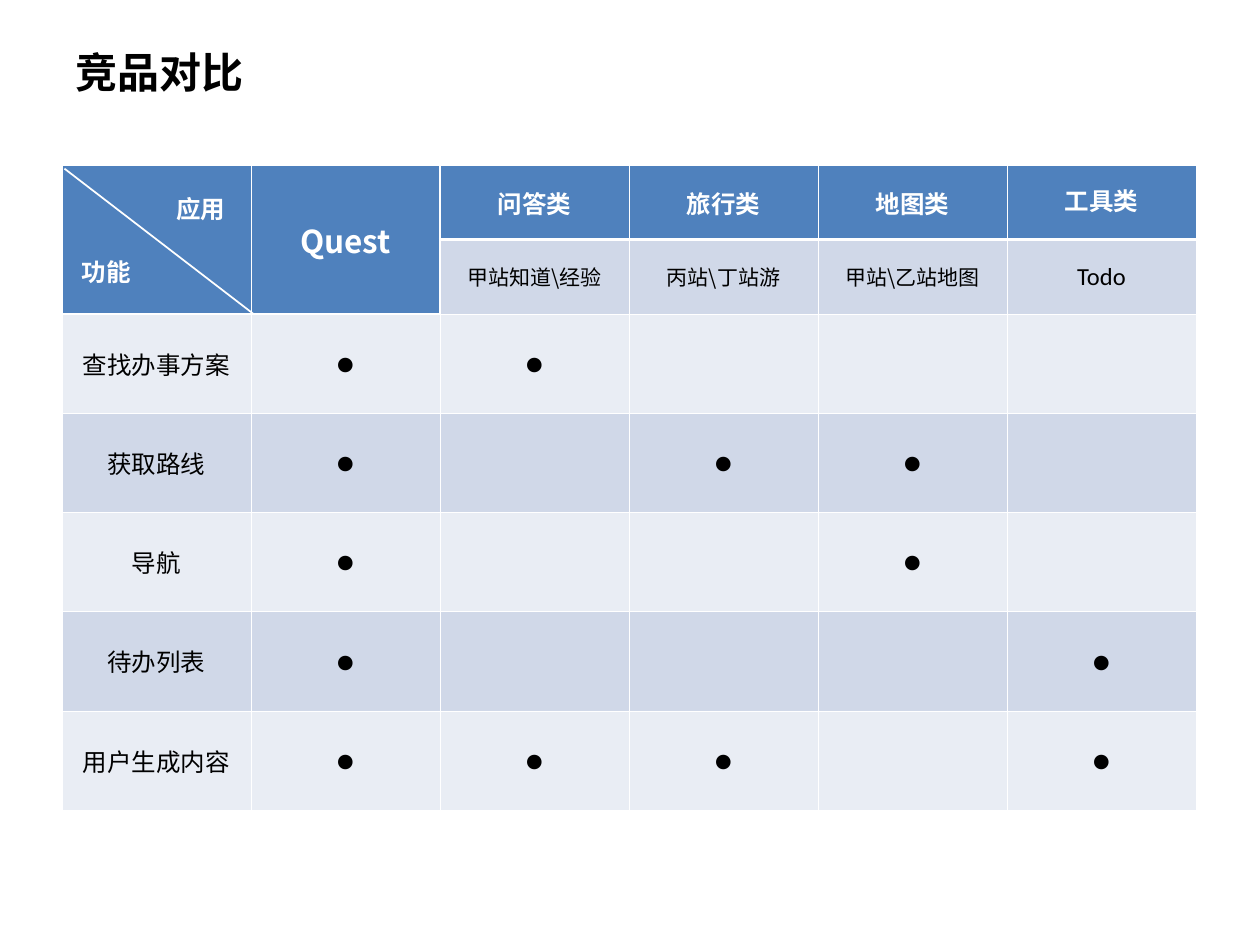
from lxml.etree import SubElement
from pptx import Presentation
from pptx.dml.color import RGBColor
from pptx.enum.shapes import MSO_CONNECTOR
from pptx.enum.text import MSO_ANCHOR, MSO_AUTO_SIZE, PP_ALIGN
from pptx.oxml.ns import qn
from pptx.util import Cm, Pt

TITLE = "竞品对比"
CORNER_LABELS = [("应用", 3.3, 3.78), ("功能", 1.4, 5.05)]
PRODUCT = "Quest"
CATEGORIES = [
    ("问答类", "甲站知道\\经验"),
    ("旅行类", "丙站\\丁站游"),
    ("地图类", "甲站\\乙站地图"),
    ("工具类", "Todo"),
]
FEATURES = [
    ("查找办事方案", (1, 2)),
    ("获取路线", (1, 3, 4)),
    ("导航", (1, 4)),
    ("待办列表", (1, 5)),
    ("用户生成内容", (1, 2, 3, 5)),
]
COLORS = {"header": "4F81BD", "dark": "D0D8E8", "light": "E9EDF4",
          "white": "FFFFFF", "black": "000000"}
HAN, LATIN = "Noto Sans CJK SC", "Calibri"
LEFT, TOP, COLUMN = 1.25, 3.33, 3.81
ROWS = [1.5] * 2 + [2] * len(FEATURES)
THIN, THICK = 0.45, 1.47


def write(frame, text, size=14, font=HAN, color="black", bold=False, align=PP_ALIGN.CENTER):
    """Put one formatted run of text into a text frame."""
    para = frame.paragraphs[0]
    para.alignment = align
    span = para.add_run()
    span.text = text
    span.font.size = Pt(size)
    span.font.bold = bold
    span.font.color.rgb = RGBColor.from_string(COLORS[color])
    span.font.name = font
    SubElement(span.font._element, qn("a:ea"), typeface=font)


def set_borders(cell, row, column):
    """Draw white cell edges, thicker around the header block."""
    thick = {
        "L": column == 2 and row < 2,
        "R": column == 1 and row < 2,
        "T": row == (2 if column < 2 else 1),
        "B": row == 0 or (row == 1 and column < 2),
    }
    properties = cell._tc.get_or_add_tcPr()
    for side, heavy in thick.items():
        width = Pt(THICK if heavy else THIN)
        edge = SubElement(properties, qn(f"a:ln{side}"), w=str(width))
        fill = SubElement(edge, qn("a:solidFill"))
        SubElement(fill, qn("a:srgbClr"), val=COLORS["white"])


def cell_color(row, column):
    """Return the colour name of a cell by its place in the grid."""
    if row == 0 or (row == 1 and column < 2):
        return "header"
    return "dark" if row % 2 else "light"


def add_title(page):
    """Move and format the title placeholder."""
    title = page.shapes.title
    title.left, title.top, title.width, title.height = Cm(1.27), Cm(0.76), Cm(22.86), Cm(1.37)
    frame = title.text_frame
    frame.vertical_anchor = MSO_ANCHOR.MIDDLE
    frame.auto_size = MSO_AUTO_SIZE.NONE
    write(frame, TITLE, size=24, bold=True, align=PP_ALIGN.LEFT)


def add_comparison(page):
    """Build the feature table with its two header rows."""
    count = len(CATEGORIES) + 2
    table = page.shapes.add_table(len(ROWS), count, Cm(LEFT), Cm(TOP),
                                  Cm(COLUMN * count), Cm(sum(ROWS))).table
    table.first_row = table.horz_banding = False
    for column in table.columns:
        column.width = Cm(COLUMN)
    for row, height in enumerate(ROWS):
        table.rows[row].height = Cm(height)
        for column in range(count):
            cell = table.cell(row, column)
            set_borders(cell, row, column)
            cell.fill.solid()
            cell.fill.fore_color.rgb = RGBColor.from_string(COLORS[cell_color(row, column)])
            cell.vertical_anchor = MSO_ANCHOR.MIDDLE
    for column in range(2):
        table.cell(0, column).merge(table.cell(1, column))

    write(table.cell(0, 1).text_frame, PRODUCT, size=18, color="white", bold=True)
    for column, (category, apps) in enumerate(CATEGORIES, 2):
        is_latin = apps.isascii()
        write(table.cell(0, column).text_frame, category, color="white", bold=True,
              font=LATIN if is_latin else HAN)
        write(table.cell(1, column).text_frame, apps, size=14 if is_latin else 12,
              font=LATIN if is_latin else HAN)
    for row, (feature, marks) in enumerate(FEATURES, 2):
        write(table.cell(row, 0).text_frame, feature)
        for column in marks:
            write(table.cell(row, column).text_frame, "●", size=18, font=LATIN)


def add_corner(page):
    """Split the corner cell with a diagonal and label both halves."""
    diagonal = page.shapes.add_connector(MSO_CONNECTOR.STRAIGHT, Cm(1.3), Cm(3.4),
                                         Cm(5.1), Cm(6.32))
    diagonal.line.color.rgb = RGBColor.from_string(COLORS["white"])
    diagonal.line.width = Pt(1)
    SubElement(diagonal._element.spPr, qn("a:effectLst"))
    for text, left, top in CORNER_LABELS:
        box = page.shapes.add_textbox(Cm(left), Cm(top), Cm(1.8), Cm(0.86))
        box.text_frame.word_wrap = True
        box.text_frame.auto_size = MSO_AUTO_SIZE.SHAPE_TO_FIT_TEXT
        write(box.text_frame, text, color="white", bold=True, align=PP_ALIGN.LEFT)


def main():
    """Build the slide and save it."""
    deck = Presentation()
    deck.slide_width, deck.slide_height = Cm(25.4), Cm(19.05)
    page = deck.slides.add_slide(deck.slide_layouts[5])
    add_title(page)
    add_comparison(page)
    add_corner(page)
    deck.save("out.pptx")


if __name__ == "__main__":
    main()
